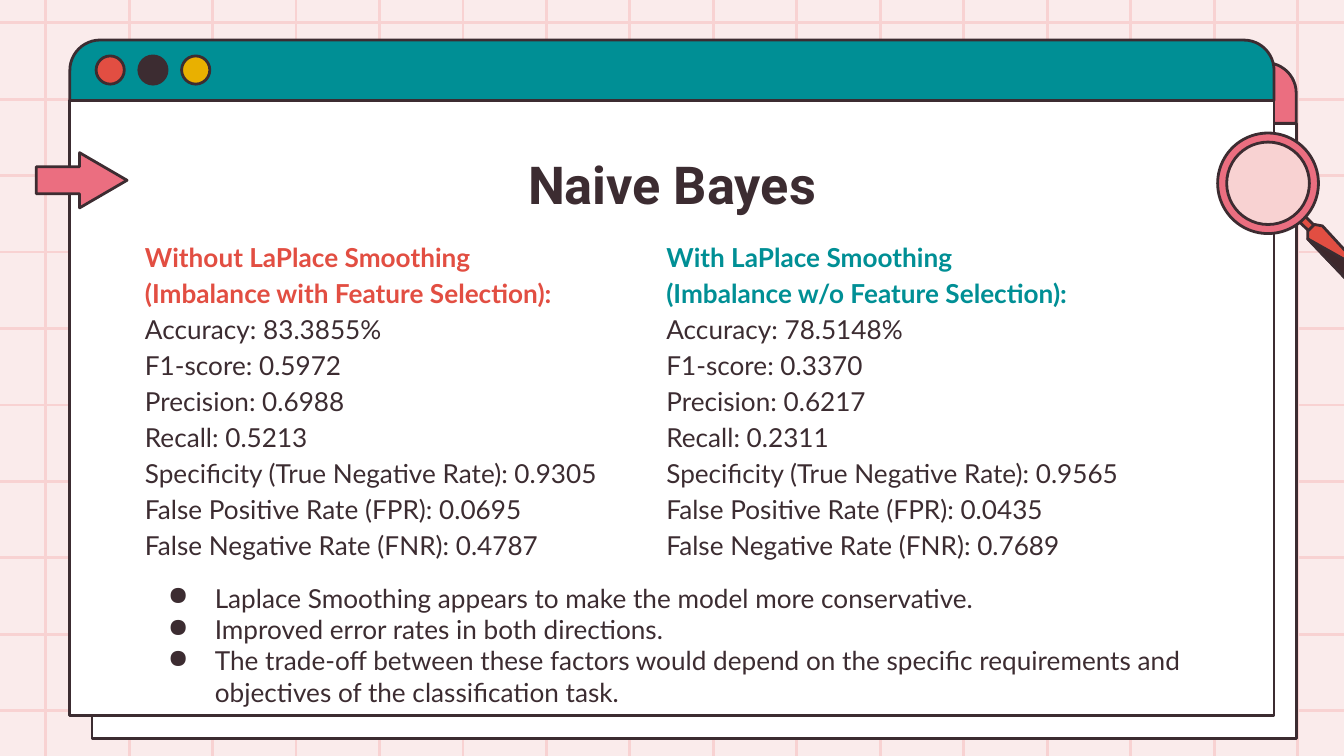
import pptx
import pptx.dml.color
import pptx.enum.shapes
import pptx.enum.text
import pptx.oxml.ns
import pptx.util
from lxml import etree

WIDE = pptx.util.Inches(10)
HIGH = pptx.util.Inches(5.625)
KIND = pptx.enum.shapes.MSO_SHAPE
ALIGN = pptx.enum.text.PP_ALIGN

INK, WHITE, TEAL = "3C2C31", "FFFFFF", "008F95"
RED, GOLD, PINK, BLUSH = "E24E42", "E9B000", "EB6E80", "F8D2D2"

HEADS = [
    ("Without LaPlace Smoothing\n(Imbalance with Feature Selection):", RED),
    ("With LaPlace Smoothing\n(Imbalance w/o Feature Selection):", TEAL),
]
SCORES = [
    ("Accuracy", "83.3855%", "78.5148%"),
    ("F1-score", "0.5972", "0.3370"),
    ("Precision", "0.6988", "0.6217"),
    ("Recall", "0.5213", "0.2311"),
    ("Specificity (True Negative Rate)", "0.9305", "0.9565"),
    ("False Positive Rate (FPR)", "0.0695", "0.0435"),
    ("False Negative Rate (FNR)", "0.4787", "0.7689"),
]
NOTES = [
    "Laplace Smoothing appears to make the model more conservative.",
    "Improved error rates in both directions.",
    "The trade-off between these factors would depend on the specific "
    "requirements and objectives of the classification task.",
]


# Places are percent shares of the slide's width and height
def across(share):
    return round(WIDE * share / 100)


def down(share):
    return round(HIGH * share / 100)


def area(x, y, w, h):
    return across(x), down(y), across(w), down(h)


def color(code):
    return pptx.dml.color.RGBColor.from_string(code)


def paint(shape, fill):
    shape.shadow.inherit = False
    shape.fill.solid()
    shape.fill.fore_color.rgb = color(fill)
    shape.line.color.rgb = color(INK)
    shape.line.width = pptx.util.Pt(1.5)


def draw(slide, kind, box, fill, *bends):
    shape = slide.shapes.add_shape(kind, *area(*box))
    for i, bend in enumerate(bends):
        shape.adjustments[i] = bend
    paint(shape, fill)


def outline(slide, points, fill):
    spots = [(across(x), down(y)) for x, y in points]
    pen = slide.shapes.build_freeform(*spots[0])
    pen.add_line_segments(spots[1:], close=True)
    paint(pen.convert_to_shape(), fill)


def rule(slide, x1, y1, x2, y2):
    line = slide.shapes.add_connector(
        pptx.enum.shapes.MSO_CONNECTOR.STRAIGHT,
        across(x1), down(y1), across(x2), down(y2))
    line.line.color.rgb = color(BLUSH)
    line.line.width = pptx.util.Pt(1.5)
    etree.SubElement(line._element.spPr, pptx.oxml.ns.qn("a:effectLst"))


def window(slide, x, y, bar):
    draw(slide, KIND.RECTANGLE, (x, y + 8, 89.6, 81.35), WHITE)
    draw(slide, KIND.ROUND_2_SAME_RECTANGLE, (x, y, 89.6, 8), bar, 0.5, 0)
    for i, fill in enumerate((RED, INK, GOLD)):
        draw(slide, KIND.OVAL, (x + 1.95 + 3.18 * i, y + 2.1, 2.1, 3.73), fill)


def bullet(para):
    props = para._p.get_or_add_pPr()
    props.set("marL", str(pptx.util.Inches(0.5)))
    props.set("indent", str(pptx.util.Inches(-0.35)))
    tint = etree.SubElement(props, pptx.oxml.ns.qn("a:buClr"))
    etree.SubElement(tint, pptx.oxml.ns.qn("a:srgbClr"), val=INK)
    etree.SubElement(props, pptx.oxml.ns.qn("a:buChar"), char="●")


def style(para, size, face, tint=INK, bold=False):
    font = para.font
    font.size = pptx.util.Pt(size)
    font.name = face
    font.bold = bold
    font.color.rgb = color(tint)


def write(slide, box, lines):
    frame = slide.shapes.add_textbox(*area(*box)).text_frame
    frame.word_wrap = True
    frame.margin_left = frame.margin_right = pptx.util.Inches(0.1)
    frame.margin_top = frame.margin_bottom = pptx.util.Inches(0.1)
    for i, line in enumerate(lines):
        para = frame.paragraphs[0] if i == 0 else frame.add_paragraph()
        para.text = line
    return frame.paragraphs


def column(slide, i, x, w):
    head, tint = HEADS[i]
    lines = [head] + [f"{row[0]}: {row[i + 1]}" for row in SCORES]
    paras = write(slide, (x, 29.5, w, 40.5), lines)
    for para in paras:
        para.line_spacing = 1.15
        style(para, 14, "Lato")
    style(paras[0], 14, "Lato", tint, True)


def glass(slide):
    # Stem, grip and its dark side
    outline(slide, [(97.7, 31.1), (98.1, 30.4), (97, 28.4), (96.6, 29.2)], RED)
    edge = [(101.4, 35.7), (101, 36.8), (100.5, 37.3), (100.2, 37), (97.3, 31.6)]
    outline(slide, edge + [(97.3, 30.6), (97.8, 29.7), (98.4, 29.9)], RED)
    outline(slide, edge, "3E282C")
    # Lens and ring
    draw(slide, KIND.OVAL, (91, 18.3, 6.7, 11.9), BLUSH)
    draw(slide, KIND.DONUT, (90.6, 17.6, 7.5, 13.3), PINK, 0.09)


def main():
    deck = pptx.Presentation()
    deck.slide_width, deck.slide_height = WIDE, HIGH
    slide = deck.slides.add_slide(deck.slide_layouts[6])

    # Squared paper
    back = slide.background.fill
    back.solid()
    back.fore_color.rgb = color("FAEBEB")
    for i in range(16):
        x = 3.4 + 6.21 * i
        rule(slide, x, 0, x, 100)
    for i in range(10):
        y = 3.02 + 10.11 * i
        rule(slide, 0, y, 100, y)

    # Windows
    window(slide, 6.85, 8.3, PINK)
    window(slide, 5.2, 5.3, TEAL)

    # Title and scores
    title = write(slide, (9.8, 18.3, 80.4, 11.2), ["Naive Bayes"])[0]
    title.alignment = ALIGN.CENTER
    style(title, 28, "Roboto", bold=True)
    column(slide, 0, 9.8, 38.8)
    column(slide, 1, 48.6, 43.6)

    # Magnifier and arrow
    glass(slide)
    draw(slide, KIND.RIGHT_ARROW, (2.7, 20.2, 6.75, 7.3), PINK, 0.49, 0.86)

    # Findings
    for para in write(slide, (10, 75.2, 79.9, 19.7), NOTES):
        bullet(para)
        style(para, 14, "Lato")

    deck.save("out.pptx")


if __name__ == "__main__":
    main()
